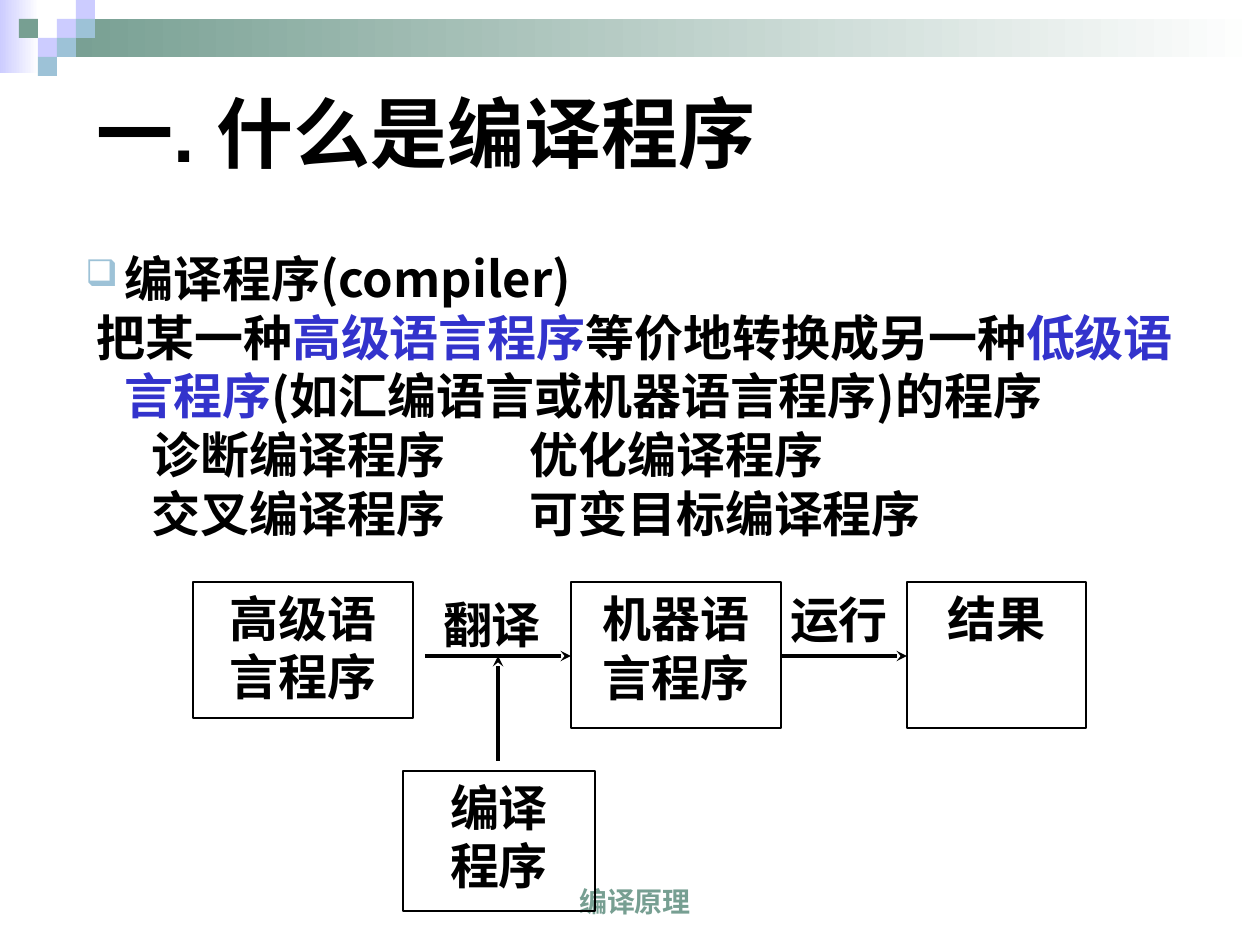
from dataclasses import dataclass

from lxml import etree
from pptx import Presentation
from pptx import util as u
from pptx.dml.color import RGBColor
from pptx.enum import shapes, text
from pptx.oxml.ns import qn

PX = u.Inches(1) / 126


def px(length):
    return u.Emu(round(length * PX))


def add(parent, tag, **attributes):
    return etree.SubElement(parent, qn(tag), attributes)


@dataclass(frozen=True)
class Theme:
    ink: str = "000000"
    term: str = "3333CC"
    sage: str = "779F92"
    lilac: str = "CCCCFF"
    sky: str = "9DC2D7"
    white: str = "FFFFFF"
    cjk: str = "Noto Sans CJK SC"
    sans: str = "Arial"
    serif: str = "Times New Roman"
    title: int = 44
    body: int = 28
    footer: int = 16
    border: float = 0.75
    arrow: int = 2


class SlideBuilder:
    def __init__(self, slide, theme):
        self.slide = slide
        self.theme = theme

    def panel(self, left, top, width, height, color, fade_to=None):
        panel = self._rectangle(left, top, width, height)
        panel.line.fill.background()
        if fade_to is None:
            panel.fill.solid()
            panel.fill.fore_color.rgb = RGBColor.from_string(color)
            return
        panel.fill.gradient()
        panel.fill.gradient_angle = 0
        for stop, shade in zip(panel.fill.gradient_stops, (color, fade_to)):
            stop.color.rgb = RGBColor.from_string(shade)

    def box(self, left, top, width, height, lines, font):
        box = self._rectangle(left, top, width, height)
        box.fill.background()
        box.line.color.rgb = RGBColor.from_string(self.theme.ink)
        box.line.width = u.Pt(self.theme.border)
        frame = self._frame(box, text.MSO_ANCHOR.TOP)
        for index, line in enumerate(lines):
            paragraph = self.paragraph(frame, index == 0)
            paragraph.text = line
            paragraph.alignment = text.PP_ALIGN.CENTER
            self.style(paragraph, font, self.theme.body)

    def label(self, left, top, width, height, wording, font, size,
              color=None, anchor=text.MSO_ANCHOR.MIDDLE,
              align=text.PP_ALIGN.CENTER, wrap=True):
        frame = self.text_area(left, top, width, height, anchor, wrap)
        paragraph = frame.paragraphs[0]
        paragraph.text = wording
        paragraph.alignment = align
        self.style(paragraph, font, size, color)

    def text_area(self, left, top, width, height,
                  anchor=text.MSO_ANCHOR.TOP, wrap=True):
        area = self.slide.shapes.add_textbox(*map(px, (left, top, width, height)))
        return self._frame(area, anchor, wrap)

    def arrow(self, start, end):
        arrow = self.slide.shapes.add_connector(
            shapes.MSO_CONNECTOR.STRAIGHT, *map(px, start + end))
        arrow.line.color.rgb = RGBColor.from_string(self.theme.ink)
        arrow.line.width = u.Pt(self.theme.arrow)
        properties = arrow._element.spPr
        add(properties.find(qn("a:ln")), "a:tailEnd", type="stealth")
        add(properties, "a:effectLst")

    def paragraph(self, frame, first=False):
        return frame.paragraphs[0] if first else frame.add_paragraph()

    def layout(self, paragraph, margin, indent=0, bullet=None, tabs=()):
        properties = paragraph._p.get_or_add_pPr()
        properties.set("marL", str(px(margin)))
        properties.set("indent", str(px(indent)))
        if bullet:
            add(add(properties, "a:buClr"), "a:srgbClr", val=self.theme.sky)
            add(properties, "a:buSzPct", val="75000")
            add(properties, "a:buChar", char=bullet)
        if tabs:
            stops = add(properties, "a:tabLst")
            for position in tabs:
                add(stops, "a:tab", pos=str(px(position)), algn="l")

    def style(self, paragraph, font, size, color=None):
        paragraph.font.name = font
        paragraph.font.size = u.Pt(size)
        paragraph.font.bold = True
        paragraph.font.color.rgb = RGBColor.from_string(color or self.theme.ink)

    def _rectangle(self, left, top, width, height):
        rectangle = self.slide.shapes.add_shape(
            shapes.MSO_SHAPE.RECTANGLE, *map(px, (left, top, width, height)))
        rectangle.shadow.inherit = False
        return rectangle

    def _frame(self, holder, anchor, wrap=True):
        frame = holder.text_frame
        frame.word_wrap = wrap
        frame.vertical_anchor = anchor
        return frame


def draw_header(builder):
    theme = builder.theme
    tile = 19
    builder.panel(0, 0, 39, 73, theme.lilac, theme.white)
    builder.panel(3 * tile, tile, 1260 - 3 * tile, 2 * tile, theme.sage, theme.white)
    mosaic = [
        (3, 1, theme.lilac), (4, 0, theme.lilac), (4, 1, theme.sky),
        (2, 2, theme.lilac), (1, 1, theme.sage), (3, 2, theme.sky),
        (2, 3, theme.sky),
    ]
    for column, row, color in mosaic:
        builder.panel(column * tile, row * tile, tile, tile, color)


def draw_flow(builder):
    theme = builder.theme
    top, axis = 582, 656
    builder.arrow((425, axis), (571, axis))
    builder.box(193, top, 220, 136, ["高级语言程序"], theme.cjk)
    builder.box(571, top, 210, 146, ["机器语言程序"], theme.cjk)
    builder.box(907, top, 179, 146, ["结果"], theme.serif)
    builder.box(403, 771, 192, 140, ["编译", "程序"], theme.cjk)
    builder.arrow((781, axis), (907, axis))
    builder.arrow((498, 761), (498, axis))
    builder.label(413, 582, 158, 84, "翻译", theme.serif, theme.body, wrap=False)
    builder.label(760, 572, 158, 94, "运行", theme.serif, theme.body, wrap=False)


def draw_definition(builder):
    theme = builder.theme
    frame = builder.text_area(73, 242, 1155, 307)

    term = builder.paragraph(frame, first=True)
    term.text = "编译程序(compiler)"
    builder.layout(term, 39, -39, bullet="❑")
    builder.style(term, theme.cjk, theme.body)

    meaning = builder.paragraph(frame)
    builder.layout(meaning, 39, -28)
    builder.style(meaning, theme.cjk, theme.body)
    phrases = [
        ("把某一种", theme.ink), ("高级语言程序", theme.term),
        ("等价地转换成另一种", theme.ink), ("低级语言程序", theme.term),
        ("(如汇编语言或机器语言程序)的程序", theme.ink),
    ]
    for wording, color in phrases:
        run = meaning.add_run()
        run.text = wording
        run.font.color.rgb = RGBColor.from_string(color)

    for kinds in (("诊断编译程序", "优化编译程序"), ("交叉编译程序", "可变目标编译程序")):
        row = builder.paragraph(frame)
        row.text = "\t\t".join(kinds)
        row.level = 1
        builder.layout(row, 66, tabs=[126 * inch for inch in range(8)])
        builder.style(row, theme.cjk, theme.body)


def main():
    deck = Presentation()
    deck.slide_width, deck.slide_height = px(1260), px(945)
    theme = Theme()
    builder = SlideBuilder(deck.slides.add_slide(deck.slide_layouts[6]), theme)
    draw_header(builder)
    builder.label(412, 861, 446, 63, "编译原理", theme.sans, theme.footer,
                  theme.sage, text.MSO_ANCHOR.BOTTOM)
    draw_flow(builder)
    builder.label(84, 53, 1071, 158, "一. 什么是编译程序", theme.sans, theme.title,
                  align=text.PP_ALIGN.LEFT)
    draw_definition(builder)
    deck.save("out.pptx")


if __name__ == "__main__":
    main()
